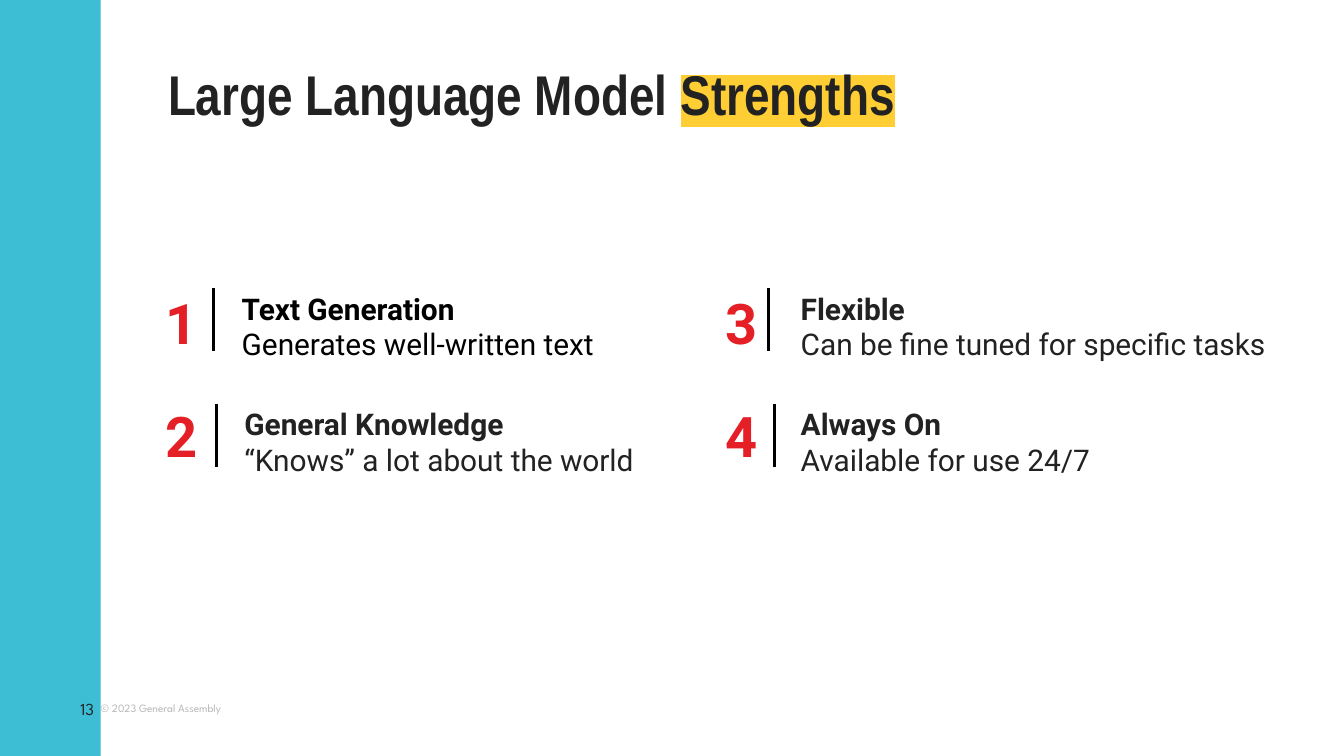
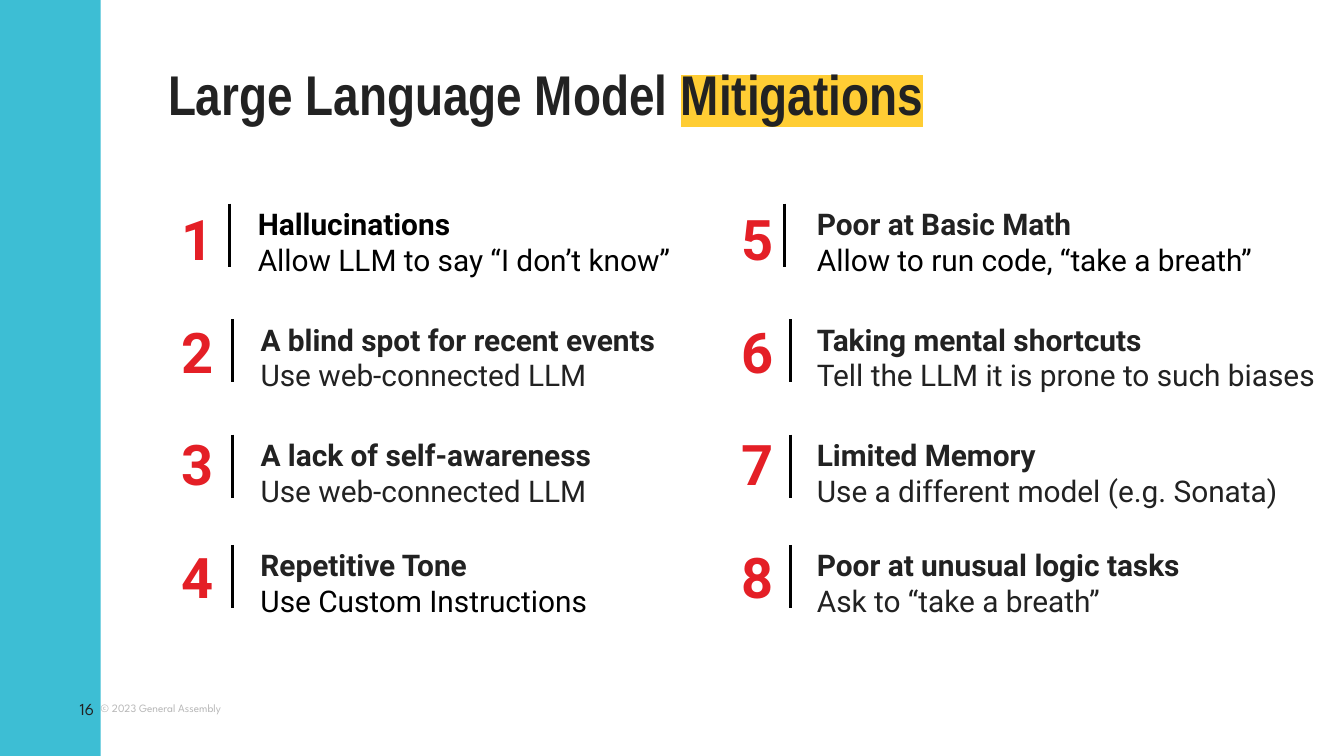
from lxml.etree import SubElement
from pptx import Presentation
from pptx.dml.color import RGBColor
from pptx.enum.shapes import MSO_CONNECTOR, MSO_SHAPE
from pptx.enum.text import MSO_ANCHOR, MSO_AUTO_SIZE, PP_ALIGN
from pptx.oxml import parse_xml
from pptx.oxml.ns import nsdecls, qn
from pptx.util import Inches, Pt

TEAL = RGBColor(0x3D, 0xBE, 0xD4)
INK = RGBColor(0x22, 0x22, 0x22)
BLACK = RGBColor(0, 0, 0)
RED = RGBColor(0xE4, 0x1F, 0x26)
GREY = RGBColor(0xB7, 0xB7, 0xB7)
GOLD = RGBColor(0xFF, 0xCD, 0x34)

WIDE, HIGH = 10, 5.625
LEAD = "Large Language Model "
OWNER = "© 2023 General Assembly"

DECK = [
    {"page": "13", "key": "Strengths", "left": 1.13, "top": 2.05, "cols": [
        [("Text Generation", BLACK, "Generates well-written text", BLACK),
         ("General Knowledge", INK, "“Knows” a lot about the world", INK)],
        [("Flexible", INK, "Can be fine tuned for specific tasks", INK),
         ("Always On", INK, "Available for use 24/7", INK)],
    ]},
    {"page": "16", "key": "Mitigations", "left": 1.25, "top": 1.42, "cols": [
        [("Hallucinations", BLACK, "Allow LLM to say “I don’t know”", BLACK),
         ("A blind spot for recent events", INK, "Use web-connected LLM", INK),
         ("A lack of self-awareness", INK, "Use web-connected LLM", INK),
         ("Repetitive Tone", INK, "Use Custom Instructions", BLACK)],
        [("Poor at Basic Math", INK, "Allow to run code, “take a breath”", BLACK),
         ("Taking mental shortcuts", INK,
          "Tell the LLM it is prone to such biases", INK),
         ("Limited Memory", INK, "Use a different model (e.g. Sonata)", INK),
         ("Poor at unusual logic tasks", INK, "Ask to “take a breath”", INK)],
    ]},
]

PITCH = 4.17
STEP = 0.84
DROPS = (0, 0.86, 1.72, 2.54)
COLS = [
    {"num": (0.36, 0.37), "bar": (0.46, 0.48), "text": (0.57, 0.59),
     "wide": (3.35, 3.68, 3.62, 3.33)},
    {"num": (0.33, 0.36), "bar": (0.42, 0.46), "text": (0.56, 0.56),
     "wide": (4.04,) * 4},
]


def add_run(para, text, font, size, color, bold=False, mark=None):
    run = para.add_run()
    run.text = text
    run.font.name = font
    run.font.size = Pt(size)
    run.font.bold = bold
    run.font.color.rgb = color
    if mark:
        glow = parse_xml(f'<a:highlight {nsdecls("a")}>'
                         f'<a:srgbClr val="{mark}"/></a:highlight>')
        run.font._element.find(qn("a:solidFill")).addnext(glow)


def set_frame(frame, inset, anchor):
    frame.word_wrap = True
    frame.auto_size = MSO_AUTO_SIZE.NONE
    frame.vertical_anchor = anchor
    frame.margin_left = frame.margin_right = Inches(inset)
    frame.margin_top = frame.margin_bottom = Inches(inset)


def add_text(slide, box, lines, inset=0.1, anchor=MSO_ANCHOR.TOP,
             align=PP_ALIGN.LEFT):
    frame = slide.shapes.add_textbox(*map(Inches, box)).text_frame
    set_frame(frame, inset, anchor)
    for i, line in enumerate(lines):
        para = frame.add_paragraph() if i else frame.paragraphs[0]
        para.alignment = align
        add_run(para, *line)


def add_bar(slide, x, y):
    bar = slide.shapes.add_connector(
        MSO_CONNECTOR.STRAIGHT, *map(Inches, (x, y, x, y + 0.47)))
    bar.line.color.rgb = BLACK
    bar.line.width = Pt(1.5)
    SubElement(bar._element.spPr, qn("a:effectLst"))


def add_base(slide, page, key):
    add_text(slide, (0.75, 5.17, 1, 0.2),
             [(OWNER, "League Spartan", 6, GREY)], 0, MSO_ANCHOR.MIDDLE)
    band = slide.shapes.add_shape(
        MSO_SHAPE.RECTANGLE, 0, 0, Inches(0.75), Inches(HIGH))
    band.shadow.inherit = False
    band.fill.solid()
    band.fill.fore_color.rgb = TEAL
    band.line.fill.background()
    add_text(slide, (0.35, 5.1, 0.35, 0.35),
             [(page, "League Spartan", 9, INK)], 0, MSO_ANCHOR.MIDDLE,
             PP_ALIGN.RIGHT)
    title = slide.shapes.title
    title.left, title.top, title.width, title.height = map(
        Inches, (1.25, 0.5, 8.25, 0.45))
    set_frame(title.text_frame, 0, MSO_ANCHOR.TOP)
    para = title.text_frame.paragraphs[0]
    para.alignment = PP_ALIGN.LEFT
    para.line_spacing = 0.9
    add_run(para, LEAD, "Arial Narrow", 30, INK, True)
    add_run(para, key, "Arial Narrow", 30, INK, True, GOLD)


def add_item(slide, x, y, col, row, num, item):
    head, tone, body, shade = item
    late = min(row, 1)
    top = y + 0.01 + DROPS[row]
    add_text(slide, (x, y + row * STEP, col["num"][late], 0.5),
             [(str(num), "Roboto", 30, RED, True)], align=PP_ALIGN.CENTER)
    add_bar(slide, x + col["bar"][late], top + 0.085)
    add_text(slide, (x + col["text"][late], top, col["wide"][row], 0.66),
             [(head, "Roboto", 16, tone, True),
              (body, "Roboto", 16, shade)])


def main():
    deck = Presentation()
    deck.slide_width, deck.slide_height = Inches(WIDE), Inches(HIGH)
    for data in DECK:
        slide = deck.slides.add_slide(deck.slide_layouts[5])
        add_base(slide, data["page"], data["key"])
        num = 0
        for c, items in enumerate(data["cols"]):
            for row, item in enumerate(items):
                num += 1
                add_item(slide, data["left"] + c * PITCH, data["top"],
                         COLS[c], row, num, item)
    deck.save("out.pptx")


if __name__ == "__main__":
    main()
